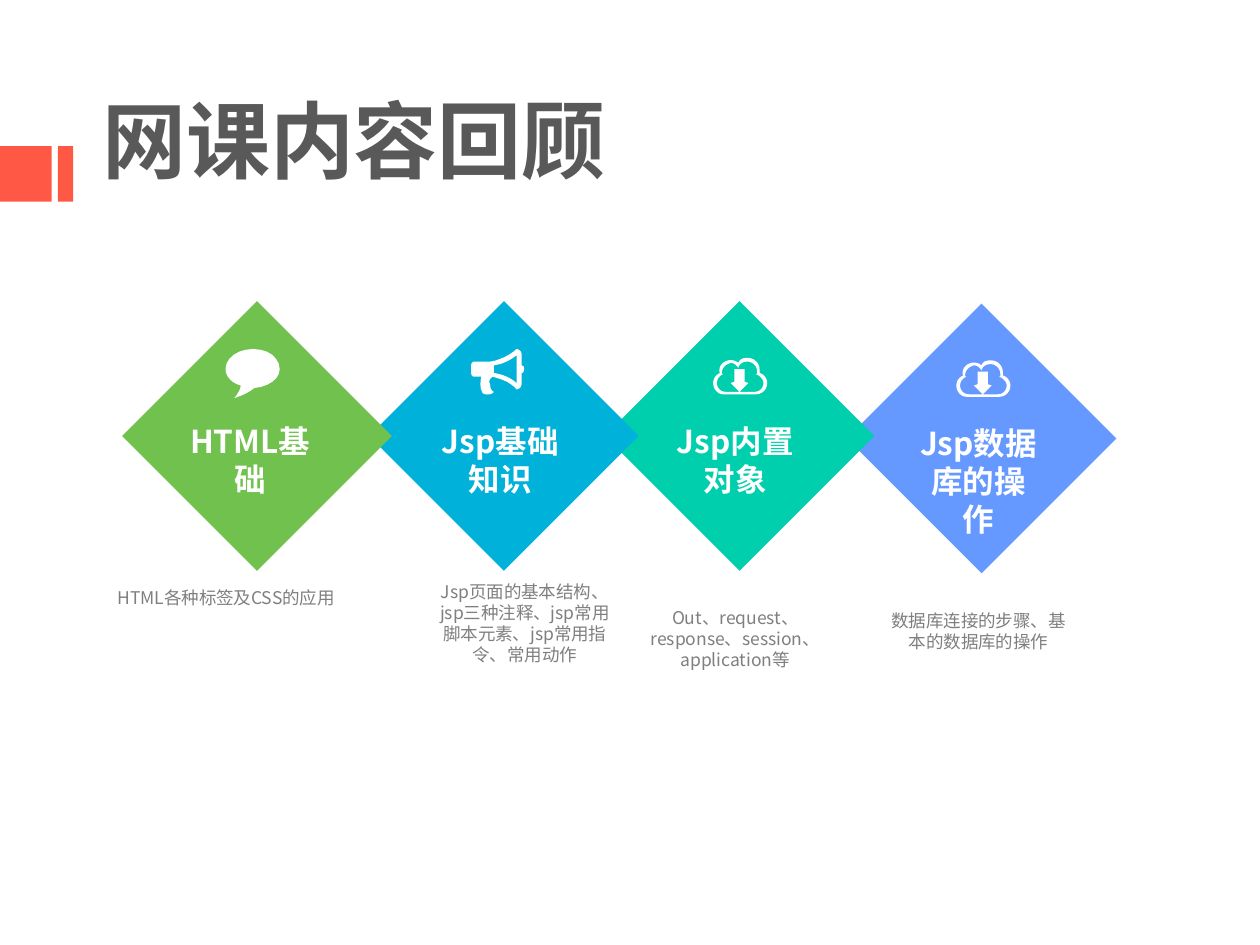
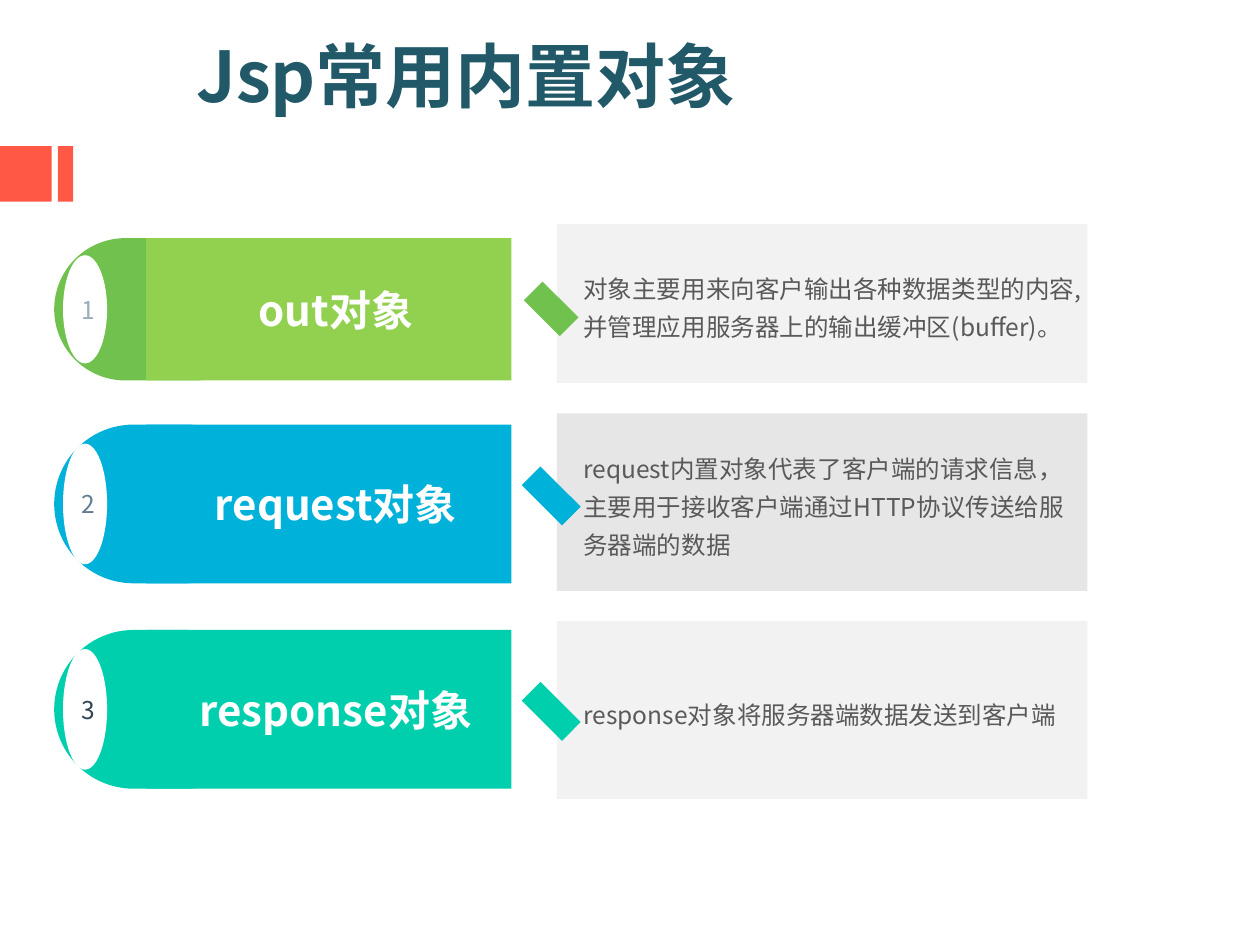
from dataclasses import dataclass

from lxml import etree
from pptx import Presentation
from pptx.dml.color import RGBColor
from pptx.enum.shapes import MSO_SHAPE
from pptx.enum.text import MSO_ANCHOR, MSO_AUTO_SIZE, PP_ALIGN
from pptx.oxml.ns import qn
from pptx.util import Inches, Pt


@dataclass(frozen=True)
class Theme:
    font: str = "Noto Sans CJK SC"
    white: str = "FFFFFF"
    red: str = "FF5844"
    green: str = "71C14E"
    lime: str = "92D050"
    blue: str = "00B1DA"
    teal: str = "00CFAD"
    violet: str = "6699FF"
    dark: str = "595959"
    gray: str = "7F7F7F"
    navy: str = "215968"
    pale: str = "F2F2F2"
    mist: str = "E7E6E6"
    note: int = 10
    body: int = 14
    label: int = 18
    bar: int = 24


T = Theme()

# Icons in hundredths of an inch: 2 numbers make a line, 6 make a curve
BUBBLE = [
    [(43, 16), (43, 7, 34, 0, 22, 0), (10, 0, 0, 7, 0, 16),
     (0, 22, 5, 27, 12, 29), (12, 31, 11, 34, 7, 39),
     (7, 39, 17, 36, 23, 31), (34, 30, 43, 24, 43, 16)],
]
HORN = [
    [(42, 16), (42, 18, 41, 19, 40, 19), (40, 28), (40, 30, 38, 32, 36, 32),
     (33, 28, 26, 24, 17, 22), (14, 24, 14, 26, 15, 28),
     (15, 31, 16, 33, 18, 34), (17, 36, 12, 37, 9, 35),
     (7, 31, 7, 27, 8, 22), (3, 22), (1, 22, 0, 21, 0, 19), (0, 13),
     (0, 11, 1, 10, 3, 10), (15, 10), (22, 9, 31, 5, 36, 0),
     (38, 0, 40, 2, 40, 4), (40, 13), (42, 13, 42, 15, 42, 16)],
    [(36, 5), (31, 9, 25, 12, 18, 13), (18, 19), (25, 20, 32, 23, 36, 27)],
]
CLOUD = [
    [(37, 12), (37, 12, 37, 10, 37, 10), (37, 4, 33, 0, 27, 0),
     (21, 0, 20, 4, 20, 4), (20, 4, 17, 1, 12, 2), (8, 3, 5, 6, 5, 10),
     (5, 11, 5, 12, 6, 12), (2, 13, 0, 17, 0, 20), (0, 25, 4, 29, 8, 29),
     (34, 29), (39, 29, 43, 25, 43, 20), (43, 16, 40, 13, 37, 12)],
    [(33, 27), (10, 27), (6, 27, 3, 24, 3, 20), (3, 17, 5, 14, 8, 13),
     (7, 13, 7, 12, 7, 12), (7, 8, 10, 5, 14, 4), (18, 4, 20, 8, 20, 8),
     (20, 8, 21, 3, 27, 3), (31, 3, 35, 6, 35, 11), (35, 12, 35, 13, 34, 13),
     (37, 14, 40, 17, 40, 20), (40, 24, 37, 27, 33, 27)],
    [(21, 27), (28, 20), (25, 19), (25, 9), (17, 9), (17, 19), (14, 20)],
]


def write(shape, text, size=T.body, color=T.dark, bold=False,
          align=PP_ALIGN.LEFT, anchor=MSO_ANCHOR.TOP, left=0.1, space=None):
    frame = shape.text_frame
    frame.word_wrap = True
    frame.auto_size = MSO_AUTO_SIZE.NONE
    frame.vertical_anchor = anchor
    frame.margin_left, frame.margin_right = Inches(left), Inches(0.1)
    frame.margin_top = frame.margin_bottom = Inches(0.05)
    para = frame.paragraphs[0]
    para.alignment = align
    if space:
        para.line_spacing = space
    run = para.add_run()
    run.text = text
    font = run.font
    font.size, font.bold, font.name = Pt(size), bold, T.font
    font.color.rgb = RGBColor.from_string(color)
    east = etree.SubElement(run._r.get_or_add_rPr(), qn("a:ea"))
    east.set("typeface", T.font)


def paint(shape, color):
    shape.shadow.inherit = False
    shape.fill.solid()
    shape.fill.fore_color.rgb = RGBColor.from_string(color)
    shape.line.fill.background()


def block(slide, kind, box, color):
    shape = slide.shapes.add_shape(kind, *map(Inches, box))
    paint(shape, color)
    return shape


def label(slide, box, text, **style):
    write(slide.shapes.add_textbox(*map(Inches, box)), text, **style)


def trace(curve, steps=6):
    """Turn lines and cubic curves into points, in thousandths of an inch."""
    x, y = curve[0]
    points = [(x * 10, y * 10)]
    for part in curve[1:]:
        if len(part) == 2:
            points.append((part[0] * 10, part[1] * 10))
        else:
            a, b, c, d, e, f = part
            for i in range(1, steps + 1):
                t = i / steps
                u = 1 - t
                points.append(tuple(
                    10 * (u**3 * p + 3 * u * u * t * q + 3 * u * t * t * r + t**3 * s)
                    for p, q, r, s in ((x, a, c, e), (y, b, d, f))))
        x, y = part[-2:]
    return points


def icon(slide, left, top, curves):
    first, *rest = map(trace, curves)
    pen = slide.shapes.build_freeform(*first[0], scale=Inches(0.001))
    pen.add_line_segments(first[1:])
    for points in rest:
        pen.move_to(*points[0])
        pen.add_line_segments(points[1:])
    paint(pen.convert_to_shape(Inches(left), Inches(top)), T.white)


def start(deck, title, box, size, color):
    """Add a slide with its title and the red side marks."""
    slide = deck.slides.add_slide(deck.slide_layouts[5])
    head = slide.shapes.title
    head.left, head.top, head.width, head.height = map(Inches, box)
    write(head, title, size=size, color=color, bold=True)
    for left, width in ((0, 0.41), (0.46, 0.12)):
        block(slide, MSO_SHAPE.RECTANGLE, (left, 1.16, width, 0.44), T.red)
    return slide


def topic(slide, left, top, color, mark, shift, name, inset, note, spot):
    """Draw a diamond with icon and name, and its note below."""
    block(slide, MSO_SHAPE.DIAMOND, (left, top, 2.14, 2.14), color)
    icon(slide, left + shift[0], top + shift[1], mark)
    dx, width = inset
    label(slide, (left + dx, top + 0.91, width, 0.7), name, size=T.label,
          color=T.white, bold=True, align=PP_ALIGN.CENTER)
    dx, dy, width = spot
    label(slide, (left + dx, top + dy, width, 0.6), note, size=T.note,
          color=T.gray, align=PP_ALIGN.CENTER)


def review(deck):
    slide = start(deck, "网课内容回顾", (0.71, 0.65, 7.46, 0.9), 48, T.dark)
    topics = [
        (0.97, 2.39, T.green, BUBBLE, (0.82, 0.38), "HTML基础", (0.42, 1.19),
         "HTML各种标签及CSS的应用", (-0.14, 2.22, 1.93)),
        (2.93, 2.39, T.blue, HORN, (0.81, 0.38), "Jsp基础知识", (0.39, 1.3),
         "Jsp页面的基本结构、jsp三种注释、jsp常用脚本元素、jsp常用指令、常用动作",
         (0.44, 2.17, 1.59)),
        (4.8, 2.39, T.teal, CLOUD, (0.86, 0.45), "Jsp内置对象", (0.44, 1.19),
         "Out、request、response、session、application等", (0.24, 2.38, 1.59)),
        (6.72, 2.41, T.violet, CLOUD, (0.87, 0.45), "Jsp数据库的操作",
         (0.45, 1.19), "数据库连接的步骤、基本的数据库的操作", (0.25, 2.38, 1.59)),
    ]
    # Each diamond overlaps the one to its right
    for item in reversed(topics):
        topic(slide, *item)


def entry(slide, top, high, number, ink, name, cap, fill, panel, dash, shade, text):
    """Draw a numbered bar, and beside it a panel with a slanted dash."""
    # Panel
    up, tall = panel
    card = block(slide, MSO_SHAPE.RECTANGLE, (4.42, up, 4.21, tall), shade)
    write(card, text, anchor=MSO_ANCHOR.MIDDLE, left=0.21, space=1.3)
    slant = block(slide, MSO_SHAPE.RECTANGLE, (4.27, dash, 0.21, tall * 0.32), cap)
    slant.rotation = 315
    # Rounded cap and number
    pill = block(slide, MSO_SHAPE.ROUNDED_RECTANGLE, (0.43, top, 1.68, high), cap)
    pill.adjustments[0] = 0.5
    disc = block(slide, MSO_SHAPE.OVAL,
                 (0.5, top + high * 0.12, 0.35, high * 0.76), T.white)
    write(disc, number, color=ink, align=PP_ALIGN.CENTER, anchor=MSO_ANCHOR.MIDDLE)
    # Bar
    bar = block(slide, MSO_SHAPE.RECTANGLE, (1.16, top, 2.9, high), fill)
    write(bar, name, size=T.bar, color=T.white, bold=True, left=0.21,
          align=PP_ALIGN.CENTER, anchor=MSO_ANCHOR.MIDDLE)


def objects(deck):
    slide = start(deck, "Jsp常用内置对象", (1.46, 0.21, 7.56, 0.77), 40, T.navy)
    entries = [
        (1.89, 1.13, "1", "99AEBA", "out对象", T.green, T.lime,
         (1.78, 1.26), 2.25, T.pale,
         "对象主要用来向客户输出各种数据类型的内容,并管理应用服务器上的输出缓冲区(buffer)。"),
        (3.37, 1.26, "2", "637C90", "request对象", T.blue, T.blue,
         (3.28, 1.41), 3.71, T.mist,
         "request内置对象代表了客户端的请求信息，主要用于接收客户端通过HTTP协议传送给服务器端的数据"),
        (5, 1.26, "3", "32424F", "response对象", T.teal, T.teal,
         (4.93, 1.41), 5.42, T.pale,
         "response对象将服务器端数据发送到客户端"),
    ]
    for item in entries:
        entry(slide, *item)


def main():
    deck = Presentation()
    deck.slide_width, deck.slide_height = Inches(10), Inches(7.5)
    review(deck)
    objects(deck)
    deck.save("out.pptx")


if __name__ == "__main__":
    main()
